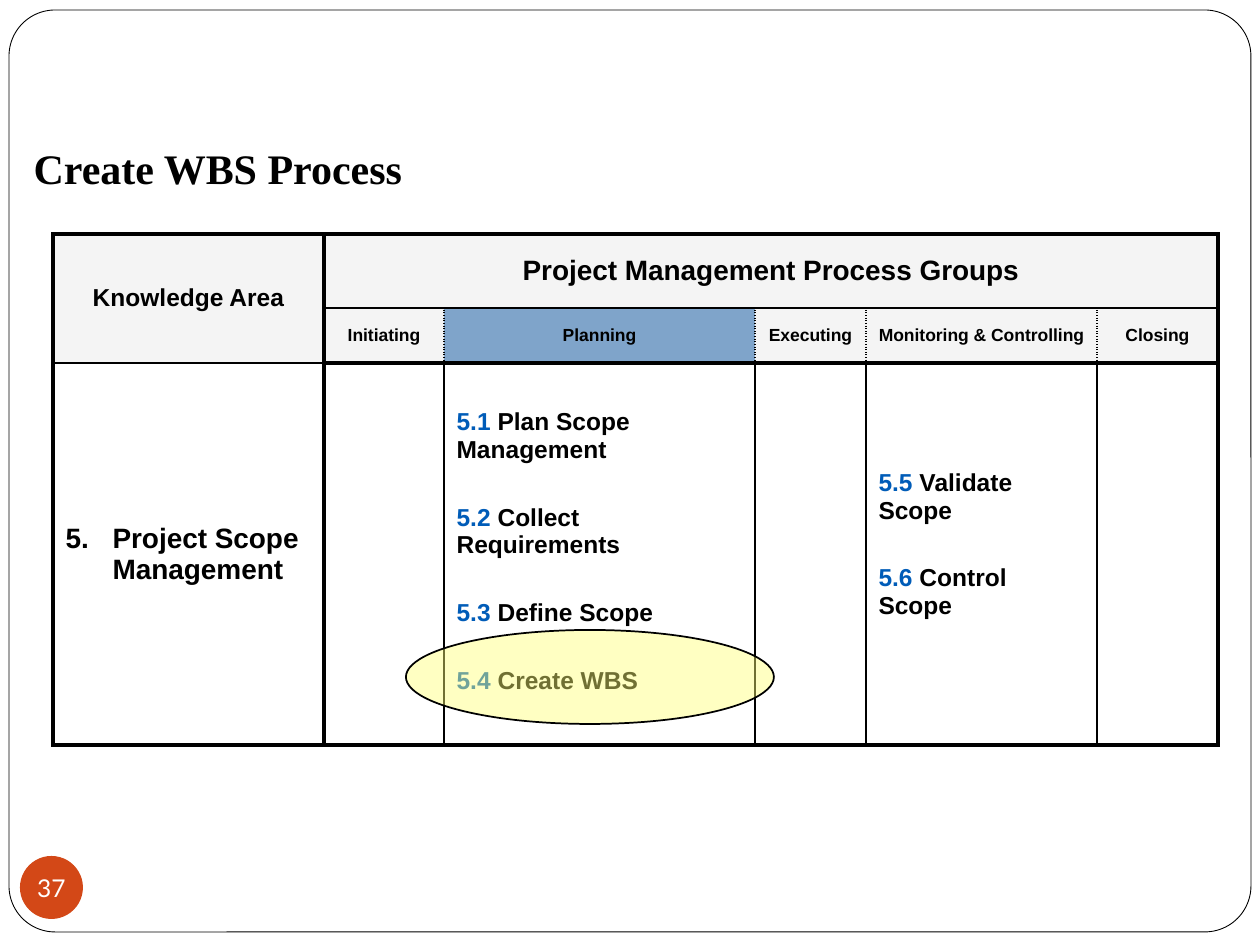
from dataclasses import dataclass

from lxml.etree import SubElement
from pptx import Presentation
from pptx.dml.color import RGBColor
from pptx.enum.shapes import MSO_SHAPE as Shape
from pptx.enum.text import MSO_ANCHOR as Anchor, MSO_AUTO_SIZE as AutoSize, PP_ALIGN as Align
from pptx.oxml.ns import qn
from pptx.util import Pt

PX = 7257.14  # EMU in one px
COLORS = {"black": "000000", "white": "FFFFFF", "gray": "EAEAEA", "navy": "004B96",
          "blue": "005CB8", "yellow": "FFFF75", "orange": "D34817"}
COLUMNS = [271, 120, 311, 111, 231, 121]
ROWS = [74, 55, 382]
THICK, THIN = 2.25, 1


@dataclass
class Header:
    row: int
    column: int
    text: str
    size: int
    fill: str = "gray"


@dataclass
class ProcessList:
    column: int
    processes: list[tuple[str, str]]
    bottom_margin: int


HEADERS = [
    Header(0, 0, "Knowledge Area", 14),
    Header(0, 1, "Project Management Process Groups", 16),
    Header(1, 1, "Initiating", 10),
    Header(1, 2, "Planning", 10, "navy"),
    Header(1, 3, "Executing", 10),
    Header(1, 4, "Monitoring & Controlling", 10),
    Header(1, 5, "Closing", 10),
]
PROCESS_LISTS = [
    ProcessList(2, [("5.1", "Plan Scope Management"), ("5.2", "Collect Requirements"),
                    ("5.3", "Define Scope"), ("5.4", "Create WBS")], 11),
    ProcessList(4, [("5.5", "Validate Scope"), ("5.6", "Control Scope")], 25),
]


def px(length: int) -> int:
    return round(length * PX)


def rgb(name: str) -> RGBColor:
    return RGBColor.from_string(COLORS[name])


def fade(properties, percent: int) -> None:
    """Make the solid fill held by a properties element see-through."""
    color = properties.find(qn("a:solidFill"))[0]
    SubElement(color, qn("a:alpha"), val=str(percent * 1000))


def add_span(para, text: str, size: int, color: str = "black", name: str = "Arial",
             bold: bool = True) -> None:
    span = para.add_run()
    span.text = text
    for key, value in {"size": Pt(size), "name": name, "bold": bold}.items():
        setattr(span.font, key, value)
    span.font.color.rgb = rgb(color)


def add_shape(page, kind, bounds: tuple, fill: str, line_width: float = 0):
    shape = page.shapes.add_shape(kind, *map(px, bounds))
    shape.shadow.inherit = False
    shape.fill.solid()
    shape.fill.fore_color.rgb = rgb(fill)
    if line_width:
        shape.line.color.rgb = rgb("black")
        shape.line.width = Pt(line_width)
    else:
        shape.line.fill.background()
    return shape


def set_borders(cell, row: int, column: int) -> None:
    """Outer lines and the header's lower line are thick, inner lines thin."""
    def vertical(x: int) -> float:
        return THICK if x in (0, 1, len(COLUMNS)) else THIN

    def horizontal(y: int) -> float:
        return THIN if y == 1 or (y == 2 and column == 0) else THICK

    right, bottom = column + cell.span_width, row + cell.span_height
    edges = {"L": vertical(column), "R": vertical(right),
             "T": horizontal(row), "B": horizontal(bottom)}
    properties = cell._tc.get_or_add_tcPr()
    for side, width in edges.items():
        line = SubElement(properties, qn(f"a:ln{side}"), w=str(Pt(width)))
        color = SubElement(SubElement(line, qn("a:solidFill")), qn("a:srgbClr"))
        color.set("val", COLORS["black"])
        dotted = row == 1 and side in "LR" and width == THIN
        SubElement(line, qn("a:prstDash"), val="sysDot" if dotted else "solid")


def add_process_table(page) -> None:
    bounds = map(px, (53, 234, sum(COLUMNS), sum(ROWS)))
    table = page.shapes.add_table(len(ROWS), len(COLUMNS), *bounds).table
    table.first_row = table.horz_banding = False
    for column, width in zip(table.columns, COLUMNS):
        column.width = px(width)
    for row, height in zip(table.rows, ROWS):
        row.height = px(height)
    table.cell(0, 0).merge(table.cell(1, 0))
    table.cell(0, 1).merge(table.cell(0, 5))

    for row in range(len(ROWS)):
        for column in range(len(COLUMNS)):
            cell = table.cell(row, column)
            if not cell.is_spanned:
                set_borders(cell, row, column)
            cell.fill.background()
            cell.vertical_anchor = Anchor.MIDDLE

    for header in HEADERS:
        cell = table.cell(header.row, header.column)
        cell.fill.solid()
        cell.fill.fore_color.rgb = rgb(header.fill)
        fade(cell._tc.tcPr, 50)
        para = cell.text_frame.paragraphs[0]
        para.alignment = Align.CENTER
        add_span(para, header.text, header.size)

    area = table.cell(2, 0).text_frame.paragraphs[0]
    indent = px(47)
    properties = area._p.get_or_add_pPr()
    properties.set("marL", str(indent))
    properties.set("indent", str(-indent))
    add_span(area, "5.\tProject Scope Management", 16)

    for group in PROCESS_LISTS:
        cell = table.cell(2, group.column)
        cell.margin_bottom = px(group.bottom_margin)
        frame = cell.text_frame
        for index, (number, name) in enumerate(group.processes):
            para = frame.add_paragraph() if index else frame.paragraphs[0]
            if index:
                para.space_before = Pt(23)
            add_span(para, number, 14, "blue")
            add_span(para, f" {name}", 14)


def set_title(page, text: str) -> None:
    title = page.shapes.title
    title.left, title.top, title.width, title.height = map(px, (21, 136, 1197, 63))
    frame = title.text_frame
    for key, value in {"word_wrap": True, "auto_size": AutoSize.NONE,
                       "vertical_anchor": Anchor.TOP}.items():
        setattr(frame, key, value)
    para = frame.paragraphs[0]
    para.alignment = Align.LEFT
    add_span(para, text, 24, name="Times New Roman")
    page.shapes._spTree.append(title._element)  # bring in front of the frame


def add_page_number(page, number: str) -> None:
    badge = add_shape(page, Shape.OVAL, (20, 856, 63, 63), "orange")
    frame = badge.text_frame
    for key in ("margin_left", "margin_top", "margin_right", "margin_bottom"):
        setattr(frame, key, 0)
    frame.word_wrap = False
    frame.vertical_anchor = Anchor.MIDDLE
    para = frame.paragraphs[0]
    para.alignment = Align.CENTER
    add_span(para, number, 14, "white", "Lato", False)


def main() -> None:
    deck = Presentation()
    deck.slide_width, deck.slide_height = px(1260), px(945)
    page = deck.slides.add_slide(deck.slide_layouts[5])
    border = add_shape(page, Shape.ROUNDED_RECTANGLE, (9, 10, 1242, 922), "white", 0.5)
    border.adjustments[0] = 0.05
    add_process_table(page)
    set_title(page, "Create WBS Process")
    highlight = add_shape(page, Shape.OVAL, (406, 630, 368, 94), "yellow", 1)
    fade(highlight._element.spPr, 44)
    add_page_number(page, "37")
    deck.save("out.pptx")


if __name__ == "__main__":
    main()
